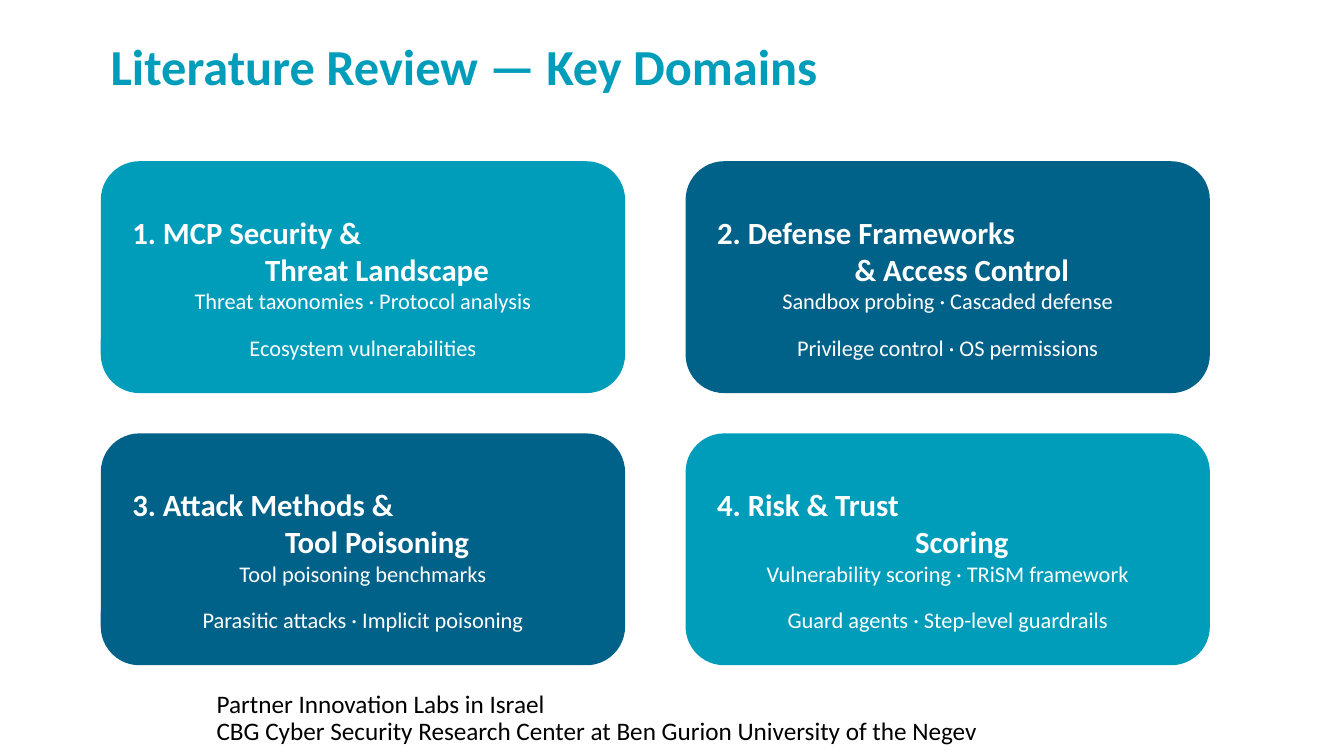
from pptx import Presentation
from pptx.dml.color import RGBColor
from pptx.enum.shapes import MSO_SHAPE
from pptx.enum.text import MSO_ANCHOR, PP_ALIGN
from pptx.util import Pt

PX = 9144
TEAL, NAVY, WHITE, BLACK = "009DBB", "006189", "FFFFFF", "000000"
HEADING = {"size": Pt(22), "bold": True}
DETAIL = {"size": Pt(16), "bold": False}
DOMAINS = [
    (TEAL, "1. MCP Security &", "Threat Landscape",
     "Threat taxonomies · Protocol analysis", "Ecosystem vulnerabilities"),
    (NAVY, "2. Defense Frameworks", "& Access Control",
     "Sandbox probing · Cascaded defense", "Privilege control · OS permissions"),
    (NAVY, "3. Attack Methods &", "Tool Poisoning",
     "Tool poisoning benchmarks", "Parasitic attacks · Implicit poisoning"),
    (TEAL, "4. Risk & Trust", "Scoring",
     "Vulnerability scoring · TRiSM framework", "Guard agents · Step-level guardrails"),
]
CARD_LINES = [
    (HEADING, {"alignment": PP_ALIGN.LEFT}, 0),
    (HEADING, {"alignment": PP_ALIGN.CENTER}, 28),
    (DETAIL, {"alignment": PP_ALIGN.CENTER}, 0),
    (DETAIL, {"alignment": PP_ALIGN.CENTER, "space_before": Pt(14)}, 0),
]


def px(*lengths):
    return [n * PX for n in lengths]


def rgb(color):
    return RGBColor.from_string(color)


def set_all(target, values):
    for name, value in values.items():
        setattr(target, name, value)


def write_line(p, text, color, font, layout, indent=0):
    set_all(p, layout)
    if indent:
        p._p.get_or_add_pPr().set("marL", str(indent * PX))
    r = p.add_run()
    r.text = text
    set_all(r.font, {"name": "Calibri", **font})
    r.font.color.rgb = rgb(color)


def add_text(s, box, lines, color, font, layout):
    tf = s.shapes.add_textbox(*px(*box)).text_frame
    tf.word_wrap = True
    for i, text in enumerate(lines):
        p = tf.add_paragraph() if i else tf.paragraphs[0]
        write_line(p, text, color, font, layout)


def add_card(s, box, fill, lines):
    sp = s.shapes.add_shape(MSO_SHAPE.ROUNDED_RECTANGLE, *px(*box))
    sp.shadow.inherit = False
    sp.fill.solid()
    sp.fill.fore_color.rgb = rgb(fill)
    sp.line.fill.background()
    tf = sp.text_frame
    left, top, right, bottom = px(20, 25, 20, 5)
    set_all(tf, {"word_wrap": True, "vertical_anchor": MSO_ANCHOR.MIDDLE,
                 "margin_left": left, "margin_top": top,
                 "margin_right": right, "margin_bottom": bottom})
    for i, (text, (font, layout, indent)) in enumerate(zip(lines, CARD_LINES)):
        p = tf.add_paragraph() if i else tf.paragraphs[0]
        write_line(p, text, WHITE, font, layout, indent)


def add_domain_grid(s, box):
    x, y, w, h = box
    gap_x, gap_y = 60, 40
    card_w, card_h = (w - gap_x) // 2, (h - gap_y) // 2
    for i, (fill, *lines) in enumerate(DOMAINS):
        row, col = divmod(i, 2)
        card = (x + col * (card_w + gap_x), y + row * (card_h + gap_y), card_w, card_h)
        add_card(s, card, fill, lines)


def main():
    prs = Presentation()
    prs.slide_width, prs.slide_height = px(1333, 750)
    s = prs.slides.add_slide(prs.slide_layouts[6])
    add_text(s, (205, 681, 1000, 69),
             ["Partner Innovation Labs in Israel",
              "CBG Cyber Security Research Center at Ben Gurion University of the Negev"],
             BLACK, {"size": Pt(18)}, {"line_spacing": 0.9})
    add_text(s, (100, 30, 1130, 80), ["Literature Review — Key Domains"],
             TEAL, {"size": Pt(36), "bold": True}, {})
    add_domain_grid(s, (100, 160, 1100, 500))
    prs.save("out.pptx")


if __name__ == "__main__":
    main()
